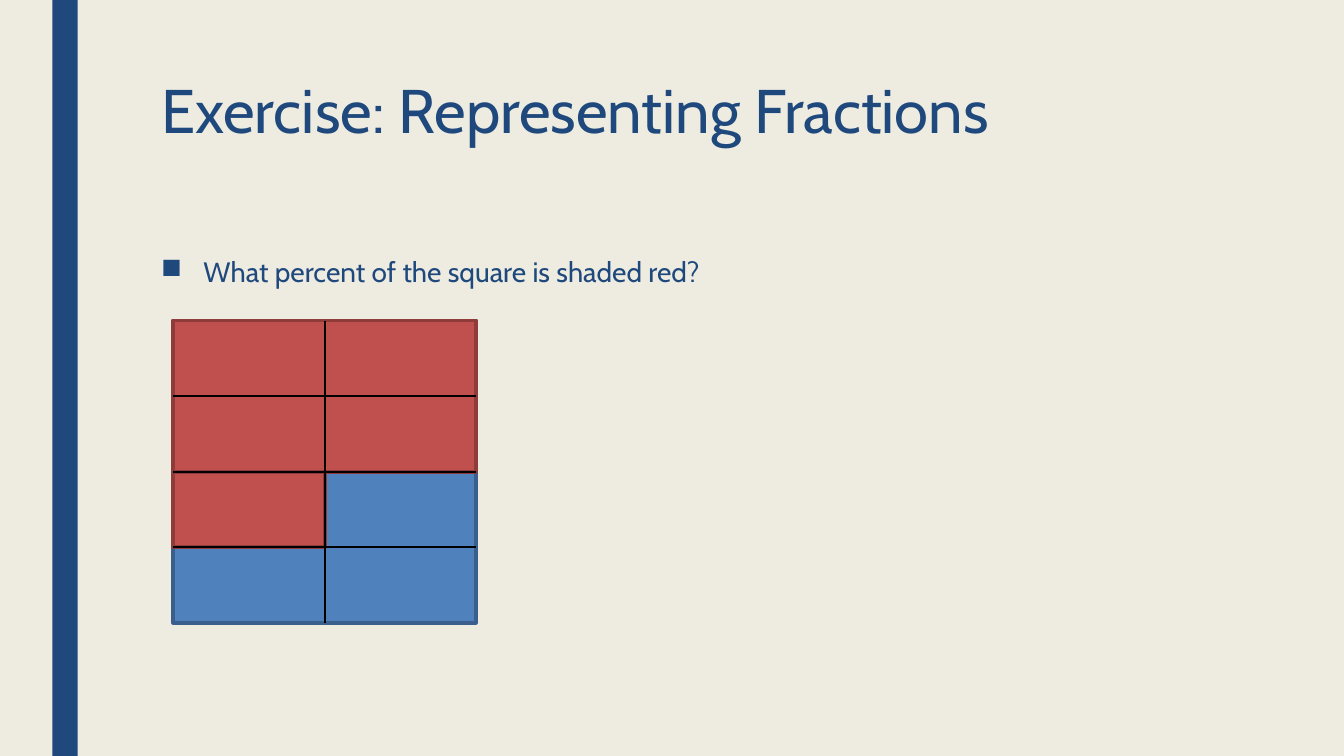
from lxml import etree
from pptx import Presentation
from pptx.dml.color import RGBColor
from pptx.enum.shapes import MSO_CONNECTOR, MSO_SHAPE
from pptx.oxml.ns import qn
from pptx.util import Inches, Pt

RECTANGLE = MSO_SHAPE.RECTANGLE
STRAIGHT = MSO_CONNECTOR.STRAIGHT
NAVY = "1F497D"


def color(hex_value):
    return RGBColor.from_string(hex_value)


def add_text(left, top, width, height, text, size, paragraph_format):
    """Add a one-paragraph text box and return its paragraph."""
    box = slide.shapes.add_textbox(
        Inches(left), Inches(top), Inches(width), Inches(height))
    box.text_frame.word_wrap = True
    para = box.text_frame.paragraphs[0]
    for name, value in paragraph_format.items():
        setattr(para, name, value)
    span = para.add_run()
    span.text = text
    span.font.name = "Cabin"
    span.font.size = Pt(size)
    span.font.color.rgb = color(NAVY)
    return para


deck = Presentation()
deck.slide_width = Inches(13.33)
deck.slide_height = Inches(7.5)
slide = deck.slides.add_slide(deck.slide_layouts[6])
slide.background.fill.solid()
slide.background.fill.fore_color.rgb = color("EEECE1")

# Title and bulleted question
add_text(1.5, 0.75, 10.5, 1.62, "Exercise: Representing Fractions", 44,
         {"line_spacing": 0.89})
question = add_text(
    1.5, 2.5, 10.5, 3.92, "What percent of the square is shaded red?", 20,
    {"line_spacing": 0.94, "space_before": Pt(10), "space_after": Pt(2)})
properties = question._p.get_or_add_pPr()
properties.set("marL", str(Inches(0.42)))
properties.set("indent", str(-Inches(0.42)))
bullet = etree.SubElement(properties, qn("a:buChar"))
bullet.set("char", "■")

# Side bar, then the square with its red parts: five of eight cells
left, top, side = 1.72, 3.18, 3
columns, rows = 2, 4
cell_width, cell_height = side / columns, side / rows
blue, red = ("4F81BD", "3A5F8C"), ("C0504D", "8E3B39")
rectangles = [
    (0.52, 0, 0.25, 7.5, NAVY, None),
    (left, top, side, side, *blue),
    (left, top, side, 2 * cell_height, *red),
    (left, top + 2 * cell_height, cell_width, cell_height, *red),
]
for x, y, width, height, fill, outline in rectangles:
    rectangle = slide.shapes.add_shape(
        RECTANGLE, Inches(x), Inches(y), Inches(width), Inches(height))
    rectangle.shadow.inherit = False
    rectangle.fill.solid()
    rectangle.fill.fore_color.rgb = color(fill)
    if outline:
        rectangle.line.color.rgb = color(outline)
        rectangle.line.width = Pt(2.75)
    else:
        rectangle.line.fill.background()

# Grid lines between the cells
grid_lines = [(left + column * cell_width, top,
               left + column * cell_width, top + side)
              for column in range(1, columns)]
grid_lines += [(left, top + row * cell_height,
                left + side, top + row * cell_height)
               for row in range(1, rows)]
for ends in grid_lines:
    grid_line = slide.shapes.add_connector(
        STRAIGHT, *[Inches(value) for value in ends])
    grid_line.line.color.rgb = color("000000")
    grid_line.line.width = Pt(1.5)
    etree.SubElement(grid_line._element.spPr, qn("a:effectLst"))

deck.save("out.pptx")
